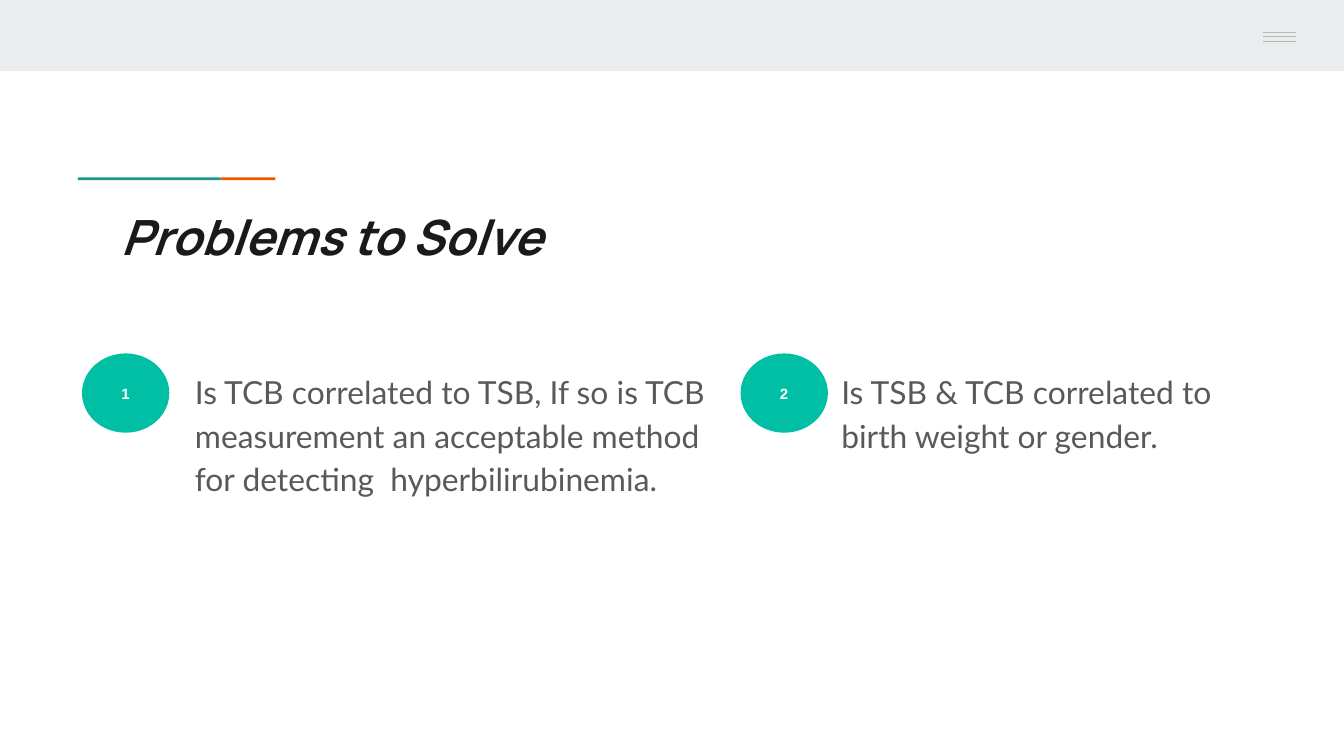
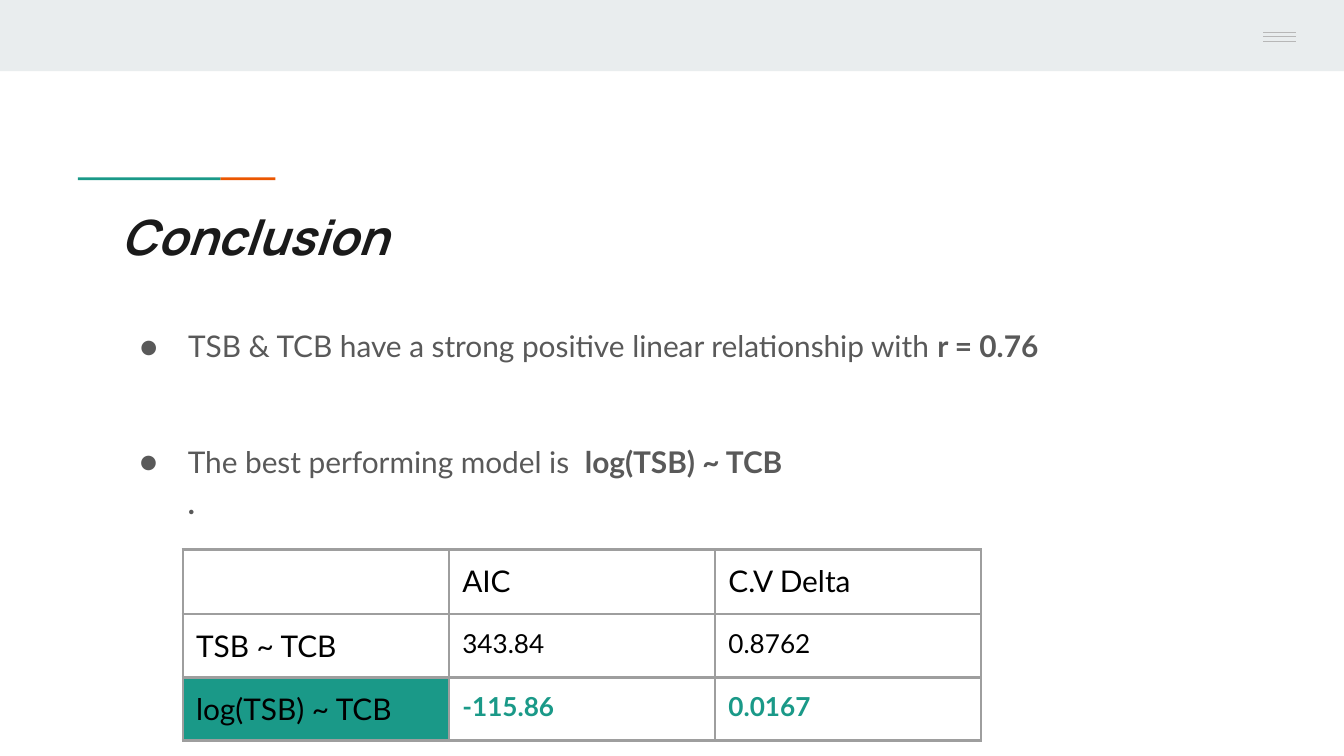
from lxml import etree
from pptx import Presentation
from pptx.dml.color import RGBColor
from pptx.enum import shapes, text
from pptx.oxml import ns
from pptx.util import Inches, Pt

COLORS = {
    "band": "E9EDEE", "teal": "1A9988", "orange": "EB5600",
    "menu": "B7B7B7", "title": "1A1A1A", "body": "595959",
    "badge": "00BFA5", "white": "FFFFFF", "black": "000000",
    "border": "9E9E9E",
}
HEADING_FONT, BODY_FONT, BADGE_FONT = "Manrope", "Lato", "Arial"
MARGIN = 0.1
TITLE_LAYOUT, TWO_BODY_LAYOUT = 1, 3


# Helpers
def color(name):
    return RGBColor.from_string(COLORS[name])


def add_element(parent, tag, **attributes):
    return etree.SubElement(parent, ns.qn(tag), attributes)


def add_color(parent, name):
    add_element(parent, "a:srgbClr", val=COLORS[name])


def place(box, left, top, width, height):
    box.left, box.top = Inches(left), Inches(top)
    box.width, box.height = Inches(width), Inches(height)


def prepare_frame(frame, anchor=text.MSO_ANCHOR.TOP):
    frame.word_wrap = True
    frame.auto_size = text.MSO_AUTO_SIZE.NONE
    frame.vertical_anchor = anchor
    frame.margin_left = frame.margin_right = Inches(MARGIN)
    frame.margin_top = frame.margin_bottom = Inches(MARGIN)


def add_span(para, words, size, font, shade, bold=False, italic=False):
    span = para.add_run()
    span.text = words
    span.font.size, span.font.name = Pt(size), font
    span.font.bold, span.font.italic = bold, italic
    span.font.color.rgb = color(shade)


def set_bullet(para, marker=None):
    properties = para._p.get_or_add_pPr()
    properties.set("marL", str(Inches(0.5 if marker else 0)))
    properties.set("indent", str(Inches(-0.36 if marker else 0)))
    if marker:
        add_color(add_element(properties, "a:buClr"), "body")
        add_element(properties, "a:buFont", typeface=BODY_FONT)
        add_element(properties, "a:buChar", char=marker)
    else:
        add_element(properties, "a:buNone")


# Shapes and text
def add_block(page, kind, left, top, width, height, fill):
    box = page.shapes.add_shape(
        kind, Inches(left), Inches(top), Inches(width), Inches(height))
    box.shadow.inherit = False
    box.fill.solid()
    box.fill.fore_color.rgb = color(fill)
    box.line.fill.background()
    return box


def add_menu_line(page, top):
    line = page.shapes.add_connector(
        shapes.MSO_CONNECTOR.STRAIGHT,
        Inches(9.4), Inches(top), Inches(9.64), Inches(top))
    line.line.color.rgb = color("menu")
    line.line.width = Pt(0.75)
    add_element(line._element.spPr, "a:effectLst")


def add_badge(page, label, left):
    box = add_block(page, shapes.MSO_SHAPE.OVAL, left, 2.63, 0.65, 0.59, "badge")
    prepare_frame(box.text_frame, text.MSO_ANCHOR.MIDDLE)
    para = box.text_frame.paragraphs[0]
    para.alignment = text.PP_ALIGN.CENTER
    add_span(para, label, 8, BADGE_FONT, "white", bold=True)


def fill_body(box, lines, size, marker=None, space_after=0):
    """Each line is a list of spans, each span (words, bold)."""
    prepare_frame(box.text_frame)
    para = box.text_frame.paragraphs[0]
    set_bullet(para, marker)
    para.line_spacing = 1.15
    para.space_before, para.space_after = Pt(0), Pt(space_after)
    for index, spans in enumerate(lines):
        if index:
            para.add_line_break()
        for words, bold in spans:
            add_span(para, words, size, BODY_FONT, "body", bold)


def add_page(deck, layout, title):
    page = deck.slides.add_slide(deck.slide_layouts[layout])
    rectangle = shapes.MSO_SHAPE.RECTANGLE
    # Top band, accent bar and menu mark
    add_block(page, rectangle, 0, 0, 10, 0.53, "band")
    add_block(page, rectangle, 1.64, 1.32, 0.41, 0.02, "orange")
    add_block(page, rectangle, 0.58, 1.32, 1.06, 0.02, "teal")
    add_block(page, rectangle, 9.06, 0, 0.94, 0.5, "band")
    for top in (0.24, 0.27, 0.31):
        add_menu_line(page, top)
    # Title
    box = page.shapes.title
    place(box, 0.8, 1.44, 8.41, 0.59)
    prepare_frame(box.text_frame)
    para = box.text_frame.paragraphs[0]
    para.alignment = text.PP_ALIGN.LEFT
    add_span(para, title, 26, HEADING_FONT, "title", bold=True, italic=True)
    return page


# Table
def style_cell(cell, fill=None):
    cell.margin_left = cell.margin_right = Inches(MARGIN)
    cell.margin_top = cell.margin_bottom = Inches(MARGIN)
    properties = cell._tc.get_or_add_tcPr()
    for side in ("a:lnL", "a:lnR", "a:lnT", "a:lnB"):
        border = add_element(properties, side, w=str(Pt(1.5)))
        add_color(add_element(border, "a:solidFill"), "border")
    if fill:
        cell.fill.solid()
        cell.fill.fore_color.rgb = color(fill)
    else:
        cell.fill.background()


def add_model_table(page, rows):
    heights = (0.48, 0.47, 0.47)
    column_width = 1.98
    table = page.shapes.add_table(
        len(rows), len(rows[0]), Inches(1.36), Inches(4.09),
        Inches(column_width * len(rows[0])), Inches(sum(heights))).table
    table.first_row = table.horz_banding = False
    for column in table.columns:
        column.width = Inches(column_width)
    for r, values in enumerate(rows):
        table.rows[r].height = Inches(heights[r])
        best = r == len(rows) - 1
        for c, value in enumerate(values):
            cell = table.cell(r, c)
            is_number = r > 0 and c > 0
            style_cell(cell, "teal" if best and c == 0 else None)
            para = cell.text_frame.paragraphs[0]
            if value:
                add_span(para, value, 14 if is_number else 16, BODY_FONT,
                         "teal" if best and is_number else "black",
                         bold=best and is_number)
            else:
                add_element(para._p, "a:endParaRPr", sz="1600")


# Slides
def add_problems(deck):
    page = add_page(deck, TWO_BODY_LAYOUT, "Problems to Solve")
    problems = (
        ("Is TCB correlated to TSB, If so is TCB measurement an acceptable "
         "method for detecting  hyperbilirubinemia.", 0.61, 1.35, 4.07),
        ("Is TSB & TCB correlated to birth weight or gender.",
         5.51, 6.16, 3.34),
    )
    for number, (words, badge_left, left, width) in enumerate(problems, 1):
        add_badge(page, str(number), badge_left)
        box = page.placeholders[number]
        place(box, left, 2.63, width, 1.15)
        fill_body(box, [[(words, False)]], 17, space_after=16)


def add_conclusion(deck):
    page = add_page(deck, TITLE_LAYOUT, "Conclusion")
    relation = page.placeholders[1]
    place(relation, 0.8, 2.3, 8.41, 0.59)
    fill_body(relation, [[
        ("TSB & TCB have a strong positive linear relationship with ", False),
        ("r = 0.76", True)]], 16, "●")
    model = page.shapes.add_textbox(
        Inches(0.8), Inches(3.16), Inches(5.23), Inches(0.59))
    fill_body(model, [
        [("The best performing model is  ", False), ("log(TSB) ~ TCB ", True)],
        [(".", True)]], 16, "●")
    add_model_table(page, (
        ("", "AIC", "C.V Delta"),
        ("TSB ~ TCB", "343.84", "0.8762"),
        ("log(TSB) ~ TCB", "-115.86", "0.0167"),
    ))


def main():
    deck = Presentation()
    deck.slide_width = Inches(10)
    deck.slide_height = deck.slide_width * 9 // 16
    add_problems(deck)
    add_conclusion(deck)
    deck.save("out.pptx")


if __name__ == "__main__":
    main()
